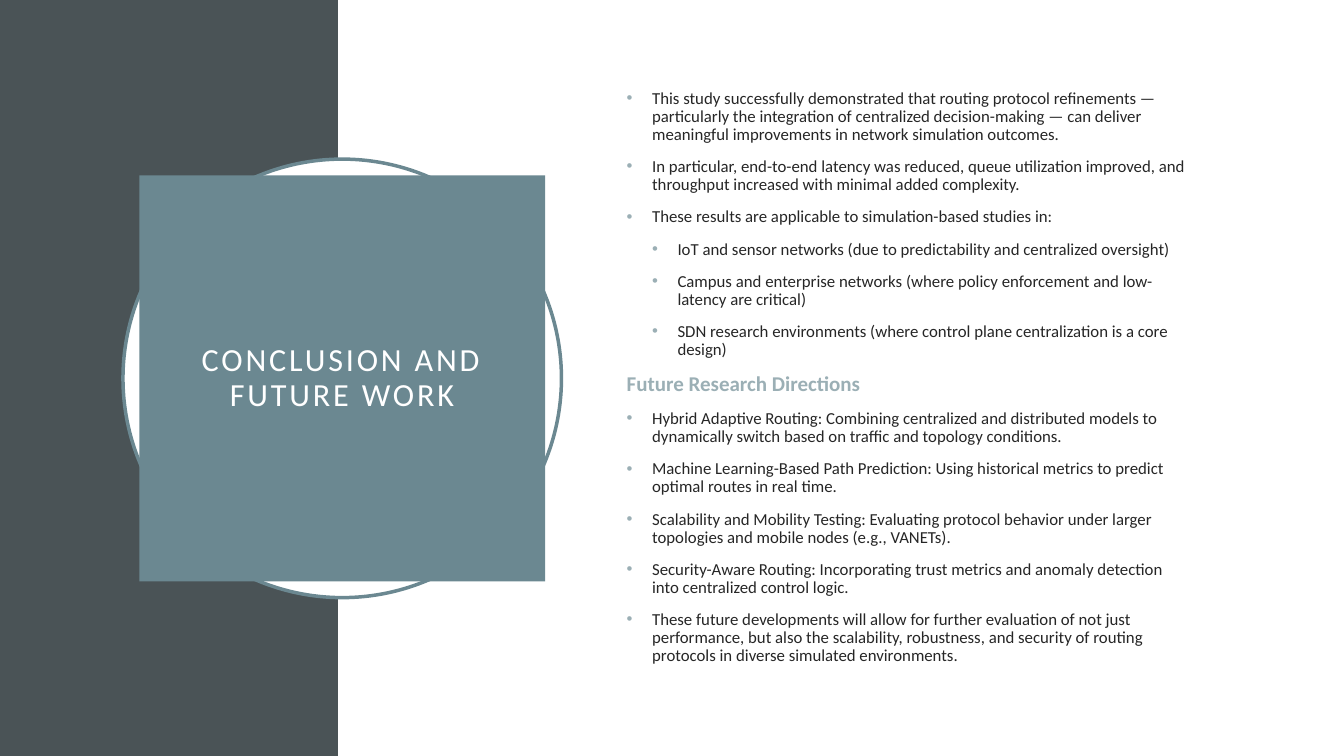
from lxml.etree import SubElement
from pptx import Presentation
from pptx.dml.color import RGBColor
from pptx.enum.shapes import MSO_SHAPE
from pptx.enum.text import MSO_ANCHOR, MSO_AUTO_SIZE, PP_ALIGN
from pptx.oxml.ns import qn
from pptx.util import Cm, Pt

COLOURS = {
    "band": "4A5356",
    "paper": "FFFFFF",
    "accent": "6B8891",
    "pale": "9BAFB5",
    "ink": "262626",
}
FONT = "Calibri"
PAGE_WIDTH, PAGE_HEIGHT = Cm(33.87), Cm(19.05)
BAND_WIDTH = Cm(8.52)
INDENT = Cm(0.64)

TITLE = "CONCLUSION AND FUTURE WORK"
HEADING = None  # level that marks an unbulleted heading
POINTS = [
    (0, "This study successfully demonstrated that routing protocol refinements — particularly "
        "the integration of centralized decision-making — can deliver meaningful improvements "
        "in network simulation outcomes."),
    (0, "In particular, end-to-end latency was reduced, queue utilization improved, and "
        "throughput increased with minimal added complexity."),
    (0, "These results are applicable to simulation-based studies in:"),
    (1, "IoT and sensor networks (due to predictability and centralized oversight)"),
    (1, "Campus and enterprise networks (where policy enforcement and low-latency are critical)"),
    (1, "SDN research environments (where control plane centralization is a core design)"),
    (HEADING, "Future Research Directions"),
    (0, "Hybrid Adaptive Routing: Combining centralized and distributed models to dynamically "
        "switch based on traffic and topology conditions."),
    (0, "Machine Learning-Based Path Prediction: Using historical metrics to predict optimal "
        "routes in real time."),
    (0, "Scalability and Mobility Testing: Evaluating protocol behavior under larger topologies "
        "and mobile nodes (e.g., VANETs)."),
    (0, "Security-Aware Routing: Incorporating trust metrics and anomaly detection into "
        "centralized control logic."),
    (0, "These future developments will allow for further evaluation of not just performance, "
        "but also the scalability, robustness, and security of routing protocols in diverse "
        "simulated environments."),
]


def colour(name):
    return RGBColor.from_string(COLOURS[name])


def place(shape, box):
    shape.left, shape.top, shape.width, shape.height = box


def bring_to_front(page, shape):
    page.shapes.element.append(shape.element)


def add_plain_shape(page, kind, box, fill):
    shape = page.shapes.add_shape(kind, *box)
    shape.shadow.inherit = False
    shape.fill.solid()
    shape.fill.fore_color.rgb = colour(fill)
    shape.line.fill.background()
    return shape


def prepare_frame(shape):
    frame = shape.text_frame
    frame.word_wrap = True
    frame.auto_size = MSO_AUTO_SIZE.NONE
    frame.vertical_anchor = MSO_ANCHOR.MIDDLE
    return frame


def style_font(font, size, name, bold=False):
    font.name = FONT
    font.size = Pt(size)
    font.bold = bold
    font.color.rgb = colour(name)


def set_bullet(para, level):
    """Give the paragraph a hanging bullet, or none for a heading."""
    properties = para._p.get_or_add_pPr()
    if level is HEADING:
        properties.set("marL", "0")
        properties.set("indent", "0")
        SubElement(properties, qn("a:buNone"))
        return
    para.level = level
    properties.set("marL", str(INDENT * (level + 1)))
    properties.set("indent", str(-INDENT))
    bullet_colour = SubElement(properties, qn("a:buClr"))
    SubElement(bullet_colour, qn("a:srgbClr"), val=COLOURS["pale"])
    SubElement(properties, qn("a:buFont"), typeface="Arial")
    SubElement(properties, qn("a:buChar"), char="•")


def draw_background(page, box):
    left, top, width, height = box
    add_plain_shape(page, MSO_SHAPE.RECTANGLE, (left, top, BAND_WIDTH, height), "band")
    add_plain_shape(page, MSO_SHAPE.RECTANGLE,
                    (left + BAND_WIDTH, top, width - BAND_WIDTH, height), "paper")


def draw_title(page, box):
    # Ring around the title panel
    left, top, width, height = box
    ring = add_plain_shape(page, MSO_SHAPE.OVAL, box, "paper")
    ring.line.color.rgb = colour("accent")
    ring.line.width = Pt(2.5)

    # Title panel, inset evenly inside the ring
    inset = Cm(0.41)
    title = page.shapes.title
    place(title, (left + inset, top + inset, width - 2 * inset, height - 2 * inset))
    bring_to_front(page, title)
    title.fill.solid()
    title.fill.fore_color.rgb = colour("accent")

    frame = prepare_frame(title)
    frame.margin_left = frame.margin_right = Cm(0.5)
    frame.margin_top = frame.margin_bottom = Cm(0.5)
    frame.text = TITLE
    para = frame.paragraphs[0]
    para.alignment = PP_ALIGN.CENTER
    para.line_spacing = 0.9
    style_font(para.font, 23, "paper")
    span = para.runs[0]
    span.font._element.set("spc", "200")


def draw_points(page, box):
    body = page.placeholders[1]
    place(body, box)
    bring_to_front(page, body)
    frame = prepare_frame(body)
    frame.text = "\n".join(text for _, text in POINTS)
    for para, (level, _) in zip(frame.paragraphs, POINTS):
        para.line_spacing = 0.9
        para.space_before = Pt(10)
        set_bullet(para, level)
        if level is HEADING:
            style_font(para.font, 15, "pale", bold=True)
        else:
            style_font(para.font, 12, "ink")


def main():
    deck = Presentation()
    deck.slide_width, deck.slide_height = PAGE_WIDTH, PAGE_HEIGHT
    page = deck.slides.add_slide(deck.slide_layouts[1])
    draw_background(page, (0, 0, PAGE_WIDTH, PAGE_HEIGHT))
    draw_title(page, (Cm(3.1), Cm(4.01), Cm(11.05), Cm(11.05)))
    draw_points(page, (Cm(15.54), Cm(3.89), Cm(14.78), Cm(11.25)))
    deck.save("out.pptx")


if __name__ == "__main__":
    main()
